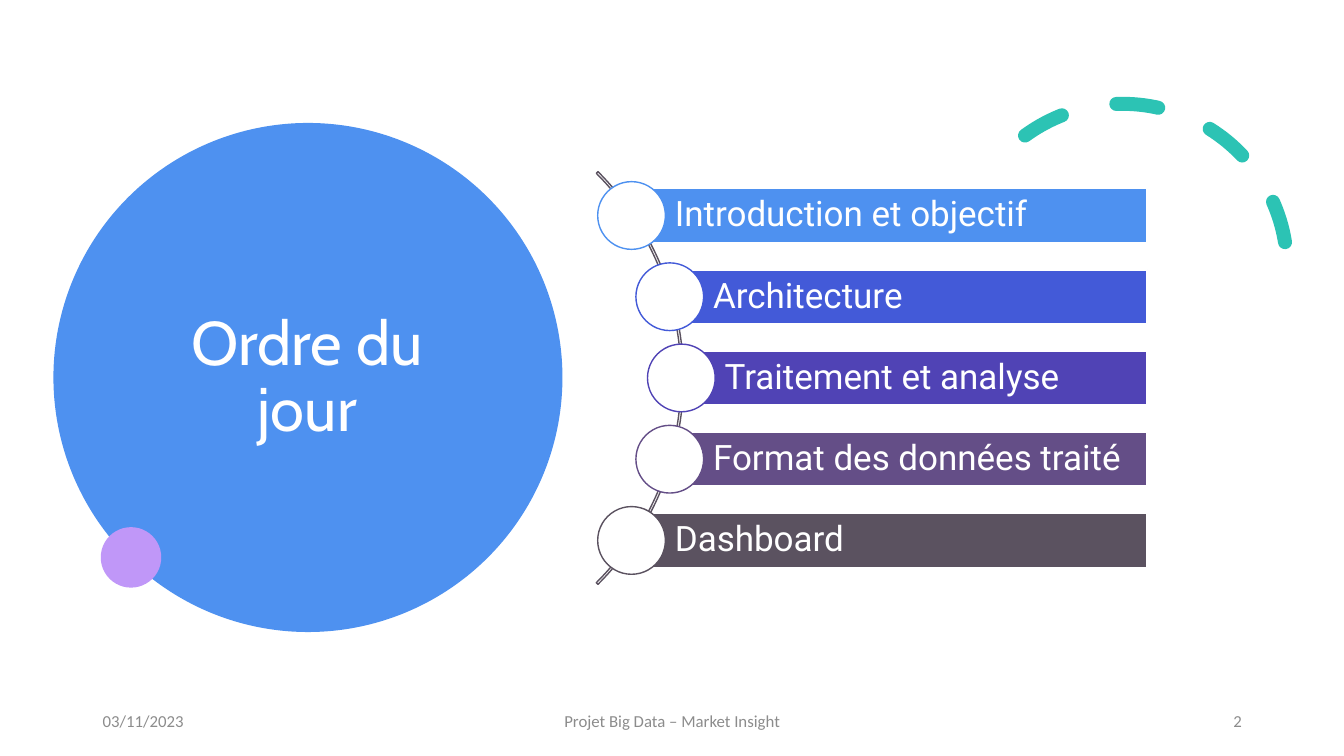
from math import sqrt

from pptx import Presentation
from pptx.dml.color import RGBColor
from pptx.enum.dml import MSO_LINE
from pptx.enum.shapes import MSO_SHAPE
from pptx.enum.text import MSO_ANCHOR, MSO_AUTO_SIZE, PP_ALIGN
from pptx.oxml.ns import qn
from pptx.util import Inches, Pt

ARC, BLOCK_ARC = MSO_SHAPE.ARC, MSO_SHAPE.BLOCK_ARC
OVAL, RECTANGLE = MSO_SHAPE.OVAL, MSO_SHAPE.RECTANGLE
DASH = MSO_LINE.DASH
MIDDLE = MSO_ANCHOR.MIDDLE
NO_AUTOFIT = MSO_AUTO_SIZE.NONE
LEFT, CENTER, RIGHT = PP_ALIGN.LEFT, PP_ALIGN.CENTER, PP_ALIGN.RIGHT

WHITE = RGBColor(0xFF, 0xFF, 0xFF)
BLUE = RGBColor(0x4E, 0x91, 0xF0)
ROYAL = RGBColor(0x43, 0x5A, 0xD8)
INDIGO = RGBColor(0x50, 0x43, 0xB5)
PLUM = RGBColor(0x64, 0x4E, 0x87)
SLATE = RGBColor(0x5B, 0x52, 0x60)
TEAL = RGBColor(0x2C, 0xC3, 0xB4)
LILAC = RGBColor(0xC0, 0x97, 0xF8)
GREY = RGBColor(0x8C, 0x8C, 0x8C)

COLUMNS, ROWS = 160, 90

AGENDA = [
    ("Introduction et objectif", BLUE),
    ("Architecture", ROYAL),
    ("Traitement et analyse", INDIGO),
    ("Format des données traité", PLUM),
    ("Dashboard", SLATE),
]
FOOTER = [
    ("03/11/2023", 11.04, 36, LEFT),
    ("Projet Big Data – Market Insight", 53.04, 54, CENTER),
    ("2", 113.04, 36, RIGHT),
]

RING_X, RING_Y, RING_RADIUS = 46.62, 45, 34.74
NODE_ORBIT, NODE_SIZE = 34.5, 8.06
BAR_STEP, BAR_HEIGHT, BAR_RIGHT = 9.67, 6.42, 136.56


class AgendaSlide:
    title_font, item_font, footer_font = "Cabin", "Roboto", "Calibri"

    def __init__(self, presentation):
        self.column = presentation.slide_width / COLUMNS
        self.row = presentation.slide_height / ROWS
        self.slide = presentation.slides.add_slide(presentation.slide_layouts[5])

    def box(self, left, top, width, height):
        return (round(left * self.column), round(top * self.row),
                round(width * self.column), round(height * self.row))

    def shape(self, kind, place, fill=None, line=None, weight=1, adjustments=()):
        shape = self.slide.shapes.add_shape(kind, *self.box(*place))
        shape.shadow.inherit = False
        for index, value in enumerate(adjustments):
            shape.adjustments[index] = value
        if fill is None:
            shape.fill.background()
        else:
            shape.fill.solid()
            shape.fill.fore_color.rgb = fill
        if line is None:
            shape.line.fill.background()
        else:
            shape.line.color.rgb = line
            shape.line.width = Pt(weight)
        return shape

    def set_text(self, shape, text, font, size, color, alignment, spacing=1.0):
        frame = shape.text_frame
        frame.word_wrap = True
        frame.auto_size = NO_AUTOFIT
        frame.vertical_anchor = MIDDLE
        frame.text = text
        paragraph = frame.paragraphs[0]
        paragraph.alignment = alignment
        paragraph.line_spacing = spacing
        paragraph.font.name = font
        paragraph.font.size = Pt(size)
        paragraph.font.color.rgb = color

    def title(self, text, place):
        title = self.slide.shapes.title
        title.left, title.top, title.width, title.height = self.box(*place)
        self.slide.shapes.element.append(title.element)
        self.set_text(title, text, self.title_font, 44, WHITE, CENTER, 0.9)

    def dashed_arc(self, place):
        arc = self.shape(ARC, place, line=TEAL, weight=10, adjustments=(158.17, 17.81))
        arc.rotation = 330.2
        arc.line.dash_style = DASH
        arc.element.spPr.find(qn("a:ln")).set("cap", "rnd")

    def item(self, text, color, offset):
        node_x = RING_X + sqrt(NODE_ORBIT ** 2 - offset ** 2)
        node_y = RING_Y + offset
        bar = self.shape(
            RECTANGLE,
            (node_x, node_y - BAR_HEIGHT / 2, BAR_RIGHT - node_x, BAR_HEIGHT),
            color, WHITE)
        frame = bar.text_frame
        frame.margin_left = Inches(0.43)
        frame.margin_right = frame.margin_top = frame.margin_bottom = Inches(0.07)
        self.set_text(bar, text, self.item_font, 25, WHITE, LEFT, 0.9)
        self.shape(
            OVAL,
            (node_x - NODE_SIZE / 2, node_y - NODE_SIZE / 2, NODE_SIZE, NODE_SIZE),
            WHITE, color)

    def footer(self, text, left, width, alignment):
        box = self.slide.shapes.add_textbox(*self.box(left, 83.4, width, 4.8))
        self.set_text(box, text, self.footer_font, 12, GREY, alignment)


def main():
    presentation = Presentation()
    presentation.slide_width = Inches(40 / 3)
    presentation.slide_height = Inches(7.5)
    agenda = AgendaSlide(presentation)

    agenda.shape(OVAL, (6.36, 14.64, 60.6, 60.6), BLUE)
    agenda.dashed_arc((114, 12.36, 39.24, 39.24))
    agenda.shape(OVAL, (12, 62.76, 7.2, 7.2), LILAC)
    agenda.title("Ordre du jour", (15.36, 18.36, 42.48, 53.4))

    agenda.shape(
        BLOCK_ARC,
        (RING_X - RING_RADIUS, RING_Y - RING_RADIUS, 2 * RING_RADIUS, 2 * RING_RADIUS),
        line=SLATE, adjustments=(189, 27, 0.004))
    middle = (len(AGENDA) - 1) / 2
    for index, (text, color) in enumerate(AGENDA):
        agenda.item(text, color, (index - middle) * BAR_STEP)

    for entry in FOOTER:
        agenda.footer(*entry)

    presentation.save("out.pptx")


if __name__ == "__main__":
    main()
